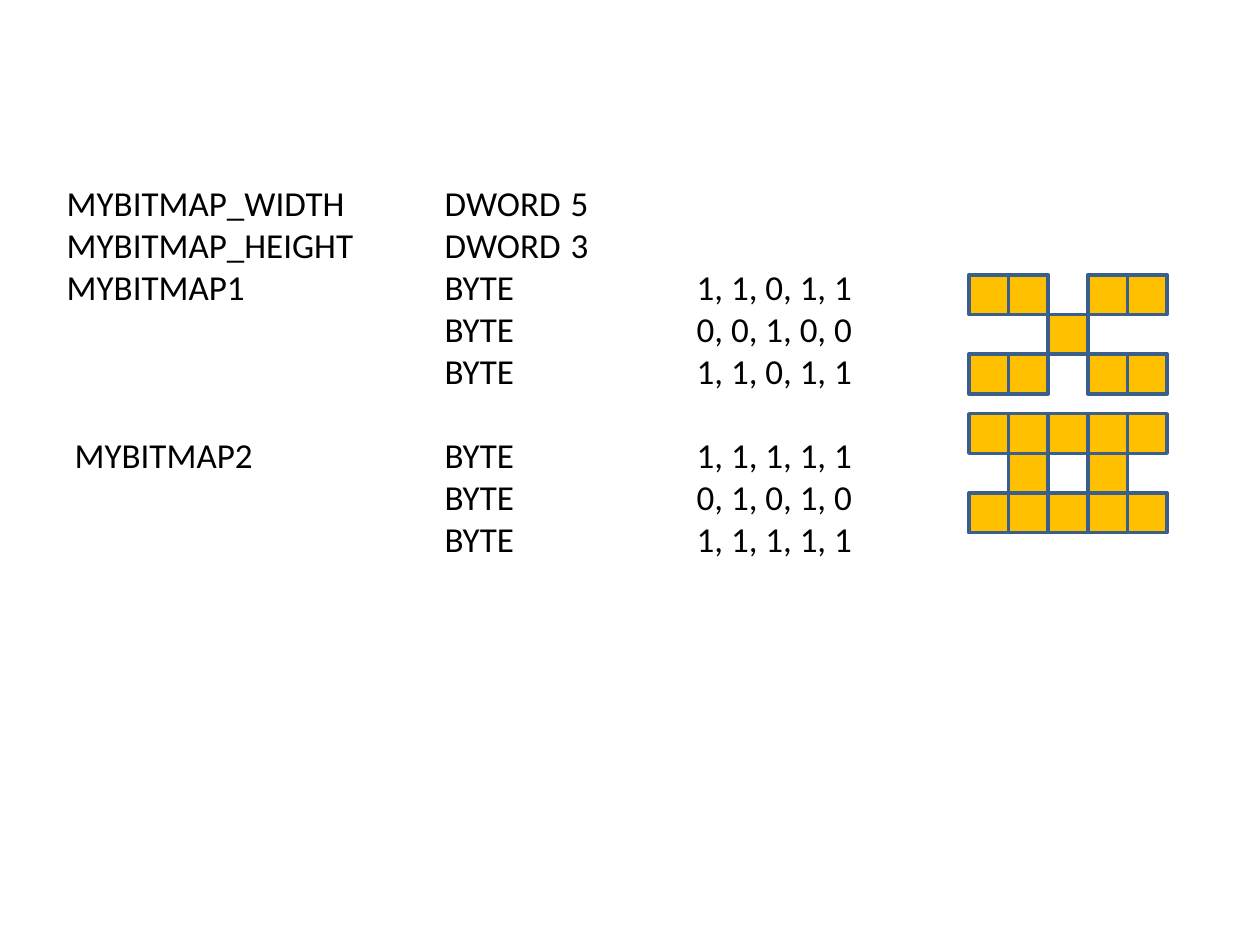
from lxml import etree
from pptx import Presentation
from pptx.dml.color import RGBColor
from pptx.enum import shapes, text
from pptx.oxml.ns import qn
from pptx.util import Cm, Pt

COLORS = {"text": "000000", "pixel": "FFC000", "outline": "3A5F8C"}
FONT = "Calibri"
TAB_STOPS = (7.62, 10.16, 12.7)
PIXEL = 0.8

HEADER = ["MYBITMAP_WIDTH\tDWORD\t5", "MYBITMAP_HEIGHT\tDWORD\t3"]
BITMAPS = [
    ("MYBITMAP1", ["11011", "00100", "11011"]),
    (" MYBITMAP2", ["11111", "01010", "11111"]),
]


def color(name):
    return RGBColor.from_string(COLORS[name])


def code_lines():
    """Yield each line of the listing with the space before it in points."""
    for line in HEADER:
        yield line, 0
    for index, (name, rows) in enumerate(BITMAPS):
        for number, row in enumerate(rows):
            label = name if number == 0 else ""
            gap = 24.4 if index > 0 and number == 0 else 0
            yield f"{label}\tBYTE\t\t{', '.join(row)}", gap


def set_tab_stops(paragraph):
    properties = paragraph._p.get_or_add_pPr()
    tabs = etree.SubElement(properties, qn("a:tabLst"))
    for stop in TAB_STOPS:
        etree.SubElement(tabs, qn("a:tab"), pos=str(Cm(stop)), algn="l")


def place_listing(title, left, top, width, height):
    title.left, title.top = Cm(left), Cm(top)
    title.width, title.height = Cm(width), Cm(height)
    frame = title.text_frame
    frame.word_wrap = True
    frame.auto_size = text.MSO_AUTO_SIZE.NONE
    frame.vertical_anchor = text.MSO_ANCHOR.TOP
    frame.margin_top = 0
    for index, (line, gap) in enumerate(code_lines()):
        paragraph = frame.add_paragraph() if index else frame.paragraphs[0]
        paragraph.text = line
        paragraph.alignment = text.PP_ALIGN.LEFT
        paragraph.space_before = Pt(gap)
        set_tab_stops(paragraph)
        paragraph.font.name = FONT
        paragraph.font.size = Pt(20)
        paragraph.font.color.rgb = color("text")


def draw_bitmap(slide, rows, left, top):
    """Draw a square for every 1 in the rows, as one group."""
    group = slide.shapes.add_group_shape()
    for y, row in enumerate(rows):
        for x, bit in enumerate(row):
            if bit == "0":
                continue
            pixel = group.shapes.add_shape(
                shapes.MSO_SHAPE.RECTANGLE,
                Cm(left + x * PIXEL), Cm(top + y * PIXEL), Cm(PIXEL), Cm(PIXEL))
            pixel.shadow.inherit = False
            pixel.fill.solid()
            pixel.fill.fore_color.rgb = color("pixel")
            pixel.line.color.rgb = color("outline")
            pixel.line.width = Pt(2)


def main():
    presentation = Presentation()
    presentation.slide_width, presentation.slide_height = Cm(25.4), Cm(19.05)
    slide = presentation.slides.add_slide(presentation.slide_layouts[5])

    # Assembly listing
    place_listing(slide.shapes.title, 1.09, 3.65, 22.86, 8.2)

    # Bitmaps beside their data
    for index, (_, rows) in enumerate(BITMAPS):
        draw_bitmap(slide, rows, 19.53, 5.54 + index * 2.8)

    presentation.save("out.pptx")


if __name__ == "__main__":
    main()
